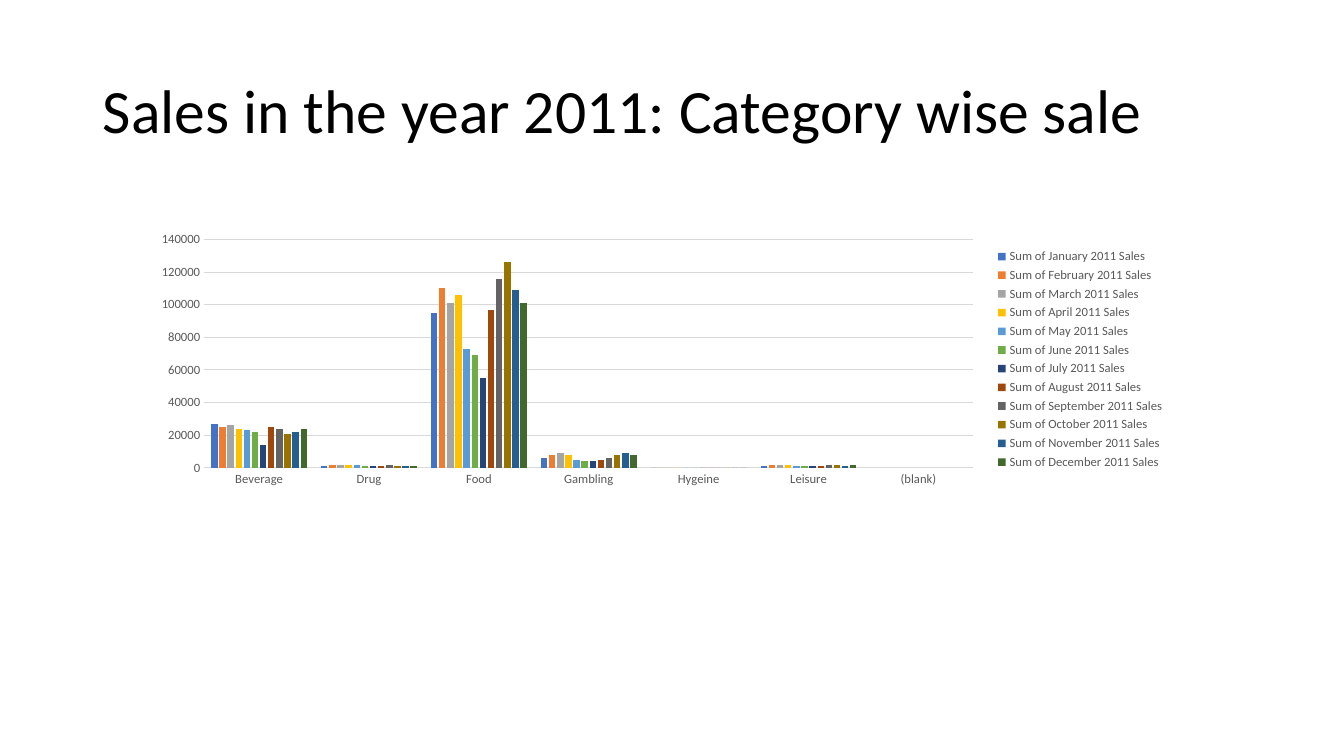
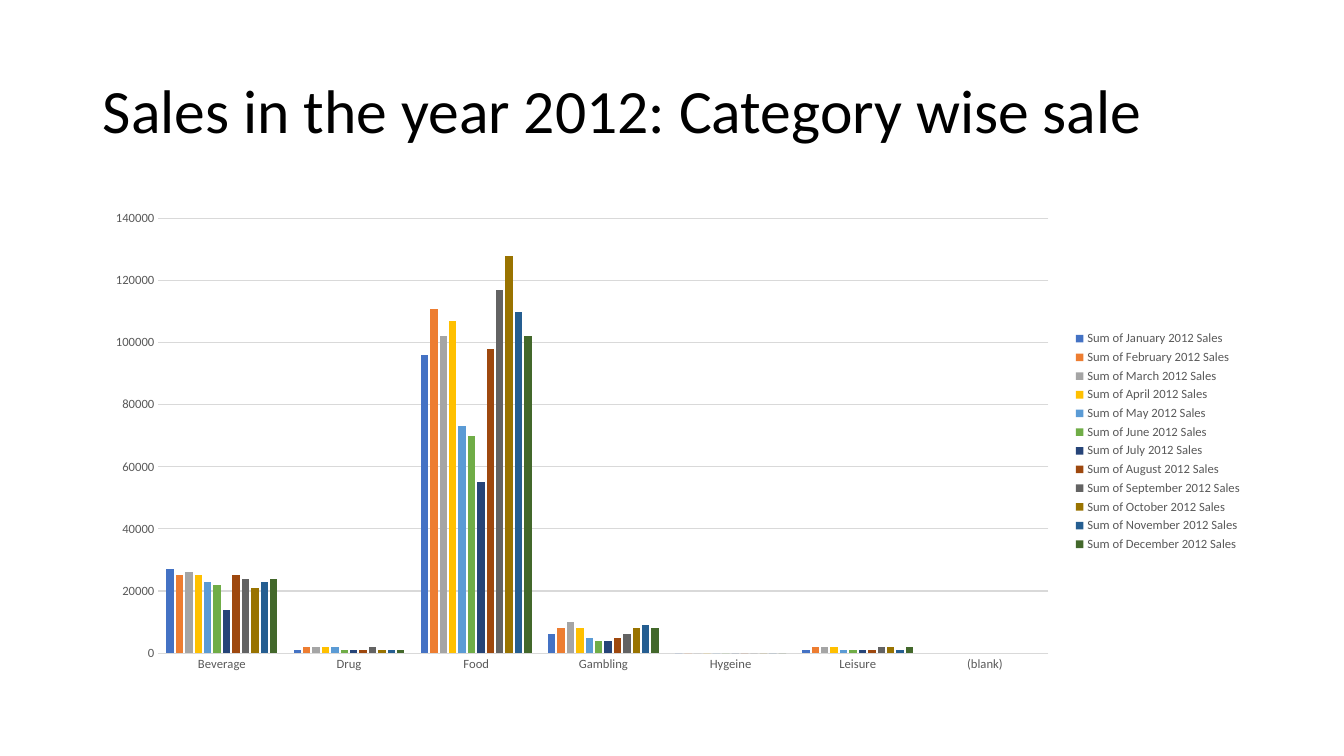
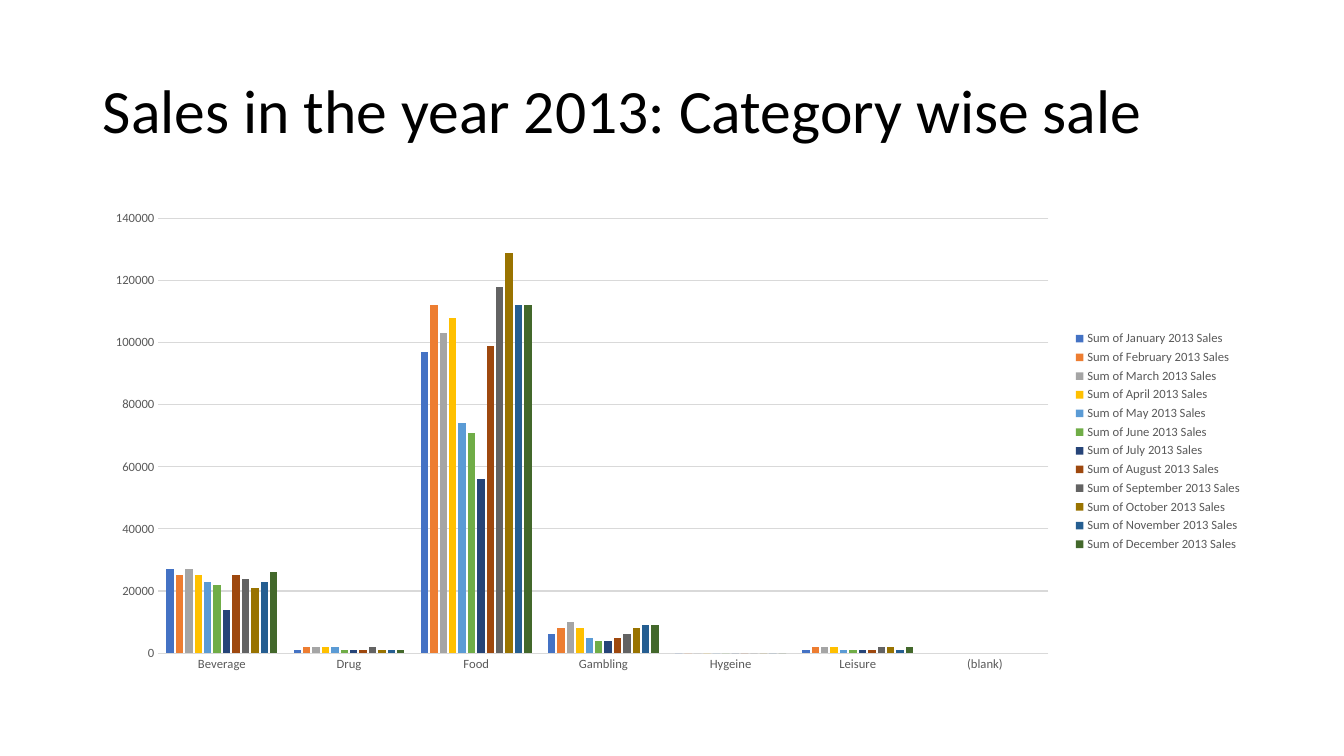
"""Build three slides of monthly sales by category, one for each year."""
import dataclasses
import typing

import pptx
import pptx.chart.data
import pptx.dml.color
import pptx.enum.chart
import pptx.enum.text
import pptx.util

Inches = pptx.util.Inches
Pt = pptx.util.Pt

COLORS = {"title": "000000", "label": "595959", "rule": "D9D9D9", "background": "FFFFFF"}
MONTH_COLORS = {
    "January": "4472C4",
    "February": "ED7D31",
    "March": "A5A5A5",
    "April": "FFC000",
    "May": "5B9BD5",
    "June": "70AD47",
    "July": "264478",
    "August": "9E480E",
    "September": "636363",
    "October": "997300",
    "November": "255E91",
    "December": "43682B",
}
CATEGORIES = ("Beverage", "Drug", "Food", "Gambling", "Hygeine", "Leisure", "(blank)")
DRUG = (1, 2, 2, 2, 2, 1, 1, 1, 2, 1, 1, 1)
HYGIENE = (0,) * 12
LEISURE = (1, 2, 2, 2, 1, 1, 1, 1, 2, 2, 1, 2)
BLANK = (None,) * 12

TITLE_FONT = {"name": "Calibri", "size": Pt(44), "bold": False}
LABEL_FONT = {"name": "Calibri", "size": Pt(9), "bold": False}
CHART_FONT = {"name": "Calibri", "size": Pt(10)}
TITLE_FRAME = {
    "word_wrap": True,
    "auto_size": pptx.enum.text.MSO_AUTO_SIZE.NONE,
    "vertical_anchor": pptx.enum.text.MSO_ANCHOR.MIDDLE,
}
TITLE_PARAGRAPH = {"alignment": pptx.enum.text.PP_ALIGN.LEFT, "line_spacing": 0.9}
AXIS = {
    "major_tick_mark": pptx.enum.chart.XL_TICK_MARK.NONE,
    "minor_tick_mark": pptx.enum.chart.XL_TICK_MARK.NONE,
}
VALUE_AXIS = {"minimum_scale": 0, "maximum_scale": 140000, "major_unit": 20000}
LEGEND = {"position": pptx.enum.chart.XL_LEGEND_POSITION.RIGHT, "include_in_layout": False}
PLOT = {"gap_width": 219, "overlap": -27, "vary_by_categories": False}


@dataclasses.dataclass(frozen=True)
class Box:
    left: float
    top: float
    width: float
    height: float

    def lengths(self) -> dict[str, int]:
        return {name: Inches(value) for name, value in dataclasses.asdict(self).items()}


@dataclasses.dataclass(frozen=True)
class SalesYear:
    """Sales of a year by month, in thousands."""

    year: int
    beverage: tuple[int, ...]
    food: tuple[int, ...]
    gambling: tuple[int, ...]
    box: Box

    def months(self) -> typing.Iterator[tuple]:
        return zip(self.beverage, DRUG, self.food, self.gambling, HYGIENE, LEISURE, BLANK)


TITLE_BOX = Box(0.92, 0.4, 11.5, 1.45)
FULL_BOX = Box(0.92, 2, 11.5, 4.76)
YEARS = (
    SalesYear(
        2011,
        (27, 25, 26, 24, 23, 22, 14, 25, 24, 21, 22, 24),
        (95, 110, 101, 106, 73, 69, 55, 97, 116, 126, 109, 101),
        (6, 8, 9, 8, 5, 4, 4, 5, 6, 8, 9, 8),
        Box(1.4, 2.25, 10.25, 2.63),
    ),
    SalesYear(
        2012,
        (27, 25, 26, 25, 23, 22, 14, 25, 24, 21, 23, 24),
        (96, 111, 102, 107, 73, 70, 55, 98, 117, 128, 110, 102),
        (6, 8, 10, 8, 5, 4, 4, 5, 6, 8, 9, 8),
        FULL_BOX,
    ),
    SalesYear(
        2013,
        (27, 25, 27, 25, 23, 22, 14, 25, 24, 21, 23, 26),
        (97, 112, 103, 108, 74, 71, 56, 99, 118, 129, 112, 112),
        (6, 8, 10, 8, 5, 4, 4, 5, 6, 8, 9, 9),
        FULL_BOX,
    ),
)


def apply(target: typing.Any, values: dict[str, typing.Any]) -> None:
    for name, value in values.items():
        setattr(target, name, value)


def rgb(color: str) -> pptx.dml.color.RGBColor:
    return pptx.dml.color.RGBColor.from_string(color)


def style_font(font: typing.Any, values: dict[str, typing.Any], color: str) -> None:
    apply(font, values)
    font.color.rgb = rgb(color)


def style_rule(line: typing.Any) -> None:
    line.color.rgb = rgb(COLORS["rule"])
    line.width = Pt(0.75)


def write_title(page: typing.Any, text: str) -> None:
    title = page.shapes.title
    apply(title, TITLE_BOX.lengths())
    frame = title.text_frame
    apply(frame, TITLE_FRAME)
    para = frame.paragraphs[0]
    apply(para, TITLE_PARAGRAPH)
    span = para.add_run()
    span.text = text
    style_font(span.font, TITLE_FONT, COLORS["title"])


def sales_data(sales: SalesYear) -> pptx.chart.data.CategoryChartData:
    data = pptx.chart.data.CategoryChartData()
    data.categories = CATEGORIES
    for month, amounts in zip(MONTH_COLORS, sales.months()):
        values = [None if amount is None else amount * 1000 for amount in amounts]
        data.add_series(f"Sum of {month} {sales.year} Sales", values)
    return data


def draw_chart(page: typing.Any, sales: SalesYear) -> None:
    lengths = sales.box.lengths()
    chart = page.shapes.add_chart(
        pptx.enum.chart.XL_CHART_TYPE.COLUMN_CLUSTERED,
        lengths["left"], lengths["top"], lengths["width"], lengths["height"],
        sales_data(sales),
    ).chart
    apply(chart, {"has_title": False, "has_legend": True})
    style_font(chart.font, CHART_FONT, COLORS["title"])
    apply(chart.legend, LEGEND)
    style_font(chart.legend.font, LABEL_FONT, COLORS["label"])
    for axis in (chart.category_axis, chart.value_axis):
        apply(axis, AXIS)
        style_font(axis.tick_labels.font, LABEL_FONT, COLORS["label"])
    style_rule(chart.category_axis.format.line)
    apply(chart.value_axis, VALUE_AXIS)
    chart.value_axis.format.line.fill.background()
    style_rule(chart.value_axis.major_gridlines.format.line)
    plot = chart.plots[0]
    apply(plot, PLOT)
    for series, color in zip(plot.series, MONTH_COLORS.values()):
        series.invert_if_negative = False
        series.format.fill.solid()
        series.format.fill.fore_color.rgb = rgb(color)


def main() -> None:
    deck = pptx.Presentation()
    apply(deck, {"slide_width": Inches(13.33), "slide_height": Inches(7.5)})
    background = deck.slide_master.background.fill
    background.solid()
    background.fore_color.rgb = rgb(COLORS["background"])
    title_only = deck.slide_layouts[5]
    for sales in YEARS:
        page = deck.slides.add_slide(title_only)
        write_title(page, f"Sales in the year {sales.year}: Category wise sale")
        draw_chart(page, sales)
    deck.save("out.pptx")


if __name__ == "__main__":
    main()
